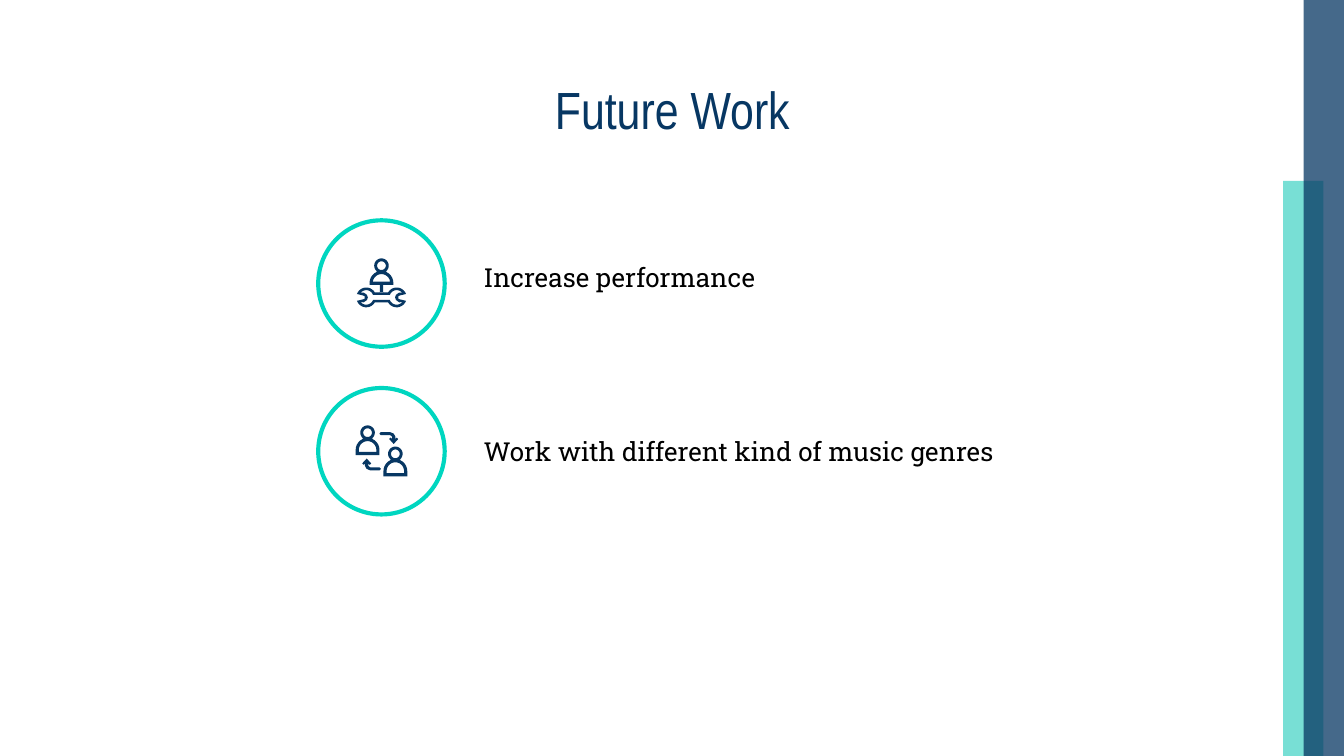
from math import cos, radians, sin

from lxml import etree
from pptx import Presentation
from pptx import util as u
from pptx.dml.color import RGBColor
from pptx.enum import shapes, text
from pptx.oxml.ns import qn

NAVY = RGBColor(0x07, 0x37, 0x63)
TEAL = RGBColor(0x00, 0xC3, 0xB1)
AQUA = RGBColor(0x00, 0xD6, 0xC0)
BLACK = RGBColor(0, 0, 0)

MID = 7.21  # centre of the icon column, cm
RING = 2.39  # ring diameter, cm
GRID = 40  # icon units in one cm


def add_bar(slide, left, top, wide, high, color, alpha):
    """Translucent side stripe; alpha is in percent."""
    bar = slide.shapes.add_shape(shapes.MSO_SHAPE.RECTANGLE, u.Cm(left),
                                 u.Cm(top), u.Cm(wide), u.Cm(high))
    bar.shadow.inherit = False
    bar.fill.solid()
    bar.fill.fore_color.rgb = color
    bar.line.fill.background()
    tint = bar.fill._xPr.find(qn("a:solidFill"))[0]
    etree.SubElement(tint, qn("a:alpha")).set("val", str(alpha * 1000))


def style(frame, font, size, color):
    for side in ("left", "top", "right", "bottom"):
        setattr(frame, "margin_" + side, u.Cm(0.25))
    for para in frame.paragraphs:
        for run in para.runs:
            run.font.name = font
            run.font.size = u.Pt(size)
            run.font.color.rgb = color


def set_title(slide, words):
    title = slide.shapes.title
    title.left, title.top = u.Cm(2), u.Cm(1.5)
    title.width, title.height = u.Cm(21.41), u.Cm(1.12)
    frame = title.text_frame
    frame.text = words
    frame.auto_size = text.MSO_AUTO_SIZE.NONE
    frame.vertical_anchor = text.MSO_ANCHOR.MIDDLE
    frame.paragraphs[0].alignment = text.PP_ALIGN.CENTER
    style(frame, "Arial Narrow", 28, NAVY)


def add_note(slide, top, wide, words):
    box = slide.shapes.add_textbox(u.Cm(8.89), u.Cm(top), u.Cm(wide), u.Cm(1.12))
    frame = box.text_frame
    frame.word_wrap = True
    frame.auto_size = text.MSO_AUTO_SIZE.SHAPE_TO_FIT_TEXT
    frame.text = words
    style(frame, "Roboto Slab", 14, BLACK)


def add_ring(slide, mid):
    ring = slide.shapes.add_shape(
        shapes.MSO_SHAPE.OVAL, u.Cm(MID - RING / 2), u.Cm(mid - RING / 2),
        u.Cm(RING), u.Cm(RING))
    ring.shadow.inherit = False
    ring.fill.background()
    ring.line.color.rgb = AQUA
    ring.line.width = u.Pt(2.25)


def arc(x, y, r, start, end):
    """Points on an arc, in degrees clockwise from the right."""
    steps = max(4, abs(end - start) // 12)
    turns = [radians(start + (end - start) * i / steps) for i in range(steps + 1)]
    return [(x + r * cos(t), y + r * sin(t)) for t in turns]


def person(x, y, foot):
    """Outline, face hole and body hole of a figure with its head at x, y."""
    neck = y + 13
    edge = (arc(x, y, 5.5, 130, 410) + arc(x, neck, 9, -65, 0)
            + [(x + 9, foot), (x - 9, foot)] + arc(x, neck, 9, 180, 245))
    body = arc(x, neck, 6.6, 180, 360) + [(x + 6.6, foot - 2.4), (x - 6.6, foot - 2.4)]
    return [edge, arc(x, y, 3.3, 0, 360), body]


def mirror(half):
    return half + [(-x, y) for x, y in reversed(half)]


def wrench():
    x, y = -11.5, 10.5
    edge = (arc(x, y, 7.5, -30, -160)
            + [(-14, 9), (-12.8, 9.5), (-12.8, 11.5), (-14, 12)]
            + arc(x, y, 7.5, 160, 30))
    hole = (arc(x, y, 5.5, -20, -140)
            + [(-13.5, 6.8), (-11, 8.5), (-10.3, 10.5), (-11, 12.5), (-13.5, 14.2)]
            + arc(x, y, 5.5, 140, 20))
    stem = [(-1.2, 1), (1.2, 1), (1.2, 7), (-1.2, 7)]
    return [mirror(edge), mirror(hole), stem]


def arrow(turn):
    """Bent arrow; turn is 1 for the upper one, -1 for the lower one."""
    edge = [(0.5, -14.5), (7.5, -14.5), (10.3, -13.3), (11.5, -11), (11.5, -9.2),
            (12.5, -10.3), (13.6, -9.2), (10.2, -5.5), (6.8, -9.2), (7.9, -10.3),
            (9, -9.2), (9, -11), (7.5, -12.2), (0.5, -12.2), (-0.6, -13.3)]
    return [[(turn * x - 1, turn * y) for x, y in edge]]


def draw(home, mid, loops):
    """Fill closed loops, given in icon units around the ring's centre."""
    loops = [[(u.Cm(MID + x / GRID), u.Cm(mid + y / GRID)) for x, y in loop]
             for loop in loops]
    pen = home.build_freeform(*loops[0][0])
    for i, loop in enumerate(loops):
        if i:
            pen.move_to(*loop[0])
        pen.add_line_segments(loop[1:], close=True)
    icon = pen.convert_to_shape()
    icon.shadow.inherit = False
    icon.fill.solid()
    icon.fill.fore_color.rgb = NAVY
    icon.line.fill.background()


def main():
    deck = Presentation()
    deck.slide_width, deck.slide_height = u.Cm(25.4), u.Cm(14.29)
    slide = deck.slides.add_slide(deck.slide_layouts[5])

    add_bar(slide, 24.25, 3.42, 0.76, 10.87, TEAL, 53)
    add_bar(slide, 24.64, 0, 0.76, 14.29, NAVY, 75)
    set_title(slide, "Future Work")

    tune, swap = 5.36, 8.53
    for mid in (tune, swap):
        add_ring(slide, mid)

    draw(slide.shapes, tune, person(0, -13.5, 1) + wrench())
    add_note(slide, 4.7, 8.76, "Increase performance")

    group = slide.shapes.add_group_shape()
    for loops in (arrow(1), arrow(-1), person(-10.5, -14, 3), person(10.5, 2, 19)):
        draw(group.shapes, swap, loops)
    add_note(slide, 7.98, 11.28, "Work with different kind of music genres")

    deck.save("out.pptx")


if __name__ == "__main__":
    main()
